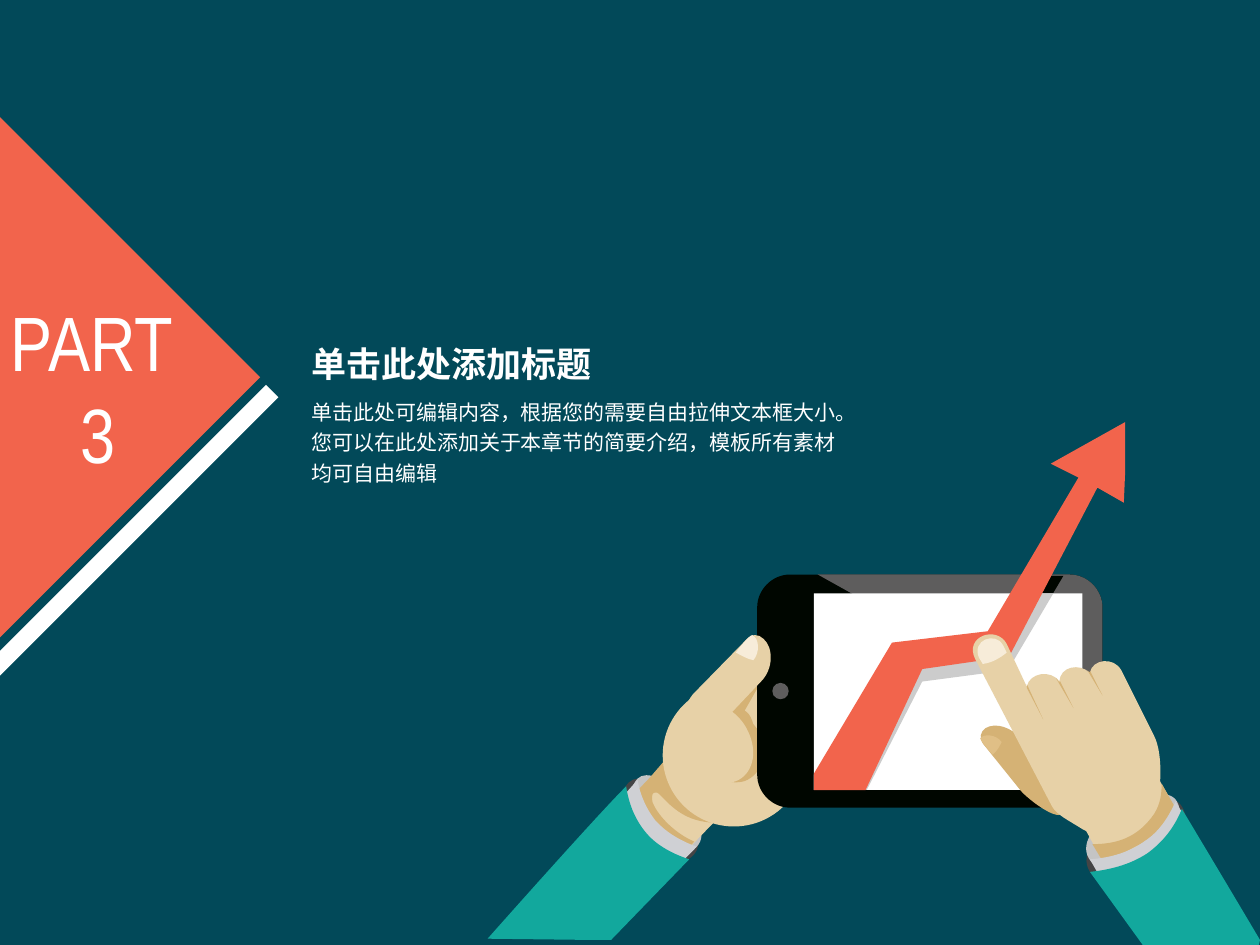
from collections import namedtuple

from lxml.etree import SubElement
from pptx import Presentation
from pptx.dml.color import RGBColor
from pptx.enum.shapes import MSO_CONNECTOR as Connector, MSO_SHAPE as Shape
from pptx.enum.text import MSO_ANCHOR as Anchor, MSO_AUTO_SIZE as AutoSize, PP_ALIGN as Align
from pptx.oxml.ns import qn
from pptx.util import Pt

Box = namedtuple("Box", "left top width height")

WHITE, CORAL, NAVY, TEAL = "FFFFFF", "F2644C", "024959", "12A89D"
SKIN, SHADE, KNUCKLE, NAIL = "E7D1A7", "D5B275", "E0BF86", "F7ECD9"
CUFF, CUFF_BACK, SLEEVE_BACK = "CFD0D4", "C4C4C4", "444445"
BLACK, GLARE, SHADOW = "000600", "5E5D5D", "CCCCCC"
CJK = "Noto Sans CJK SC"

ART_BOX = Box(278.64, 241.2, 441.36, 324.72)
ART_LEFT, ART_TOP, ART_WIDTH = 387, 335, 613
CURVE_STEPS = 20

LEFT_ARM = [
    (SLEEVE_BACK, "550,679 C570,659 515,605 499,621 C478,643 529,701 550,679"),
    (CUFF_BACK, "553,672 C571,653 521,603 506,618 C487,638 534,691 553,672"),
    (SKIN, "536,597 482,660 482,707 514,707 576,643"),
    (SHADE, "516,617 474,661 474,673 504,641 544,676 551,668 C537,662 523,649 518,637 "
            "C516,629 520,626 525,632 C537,645 548,652 566,653 570,649 528,603"),
    (CUFF, "506,619 472,657 472,716 510,716 553,672 C539,667 528,660 520,651 "
           "C513,642 508,631 506,619"),
    (TEAL, "497,624 C472,649 387,745 387,745 472,746 485,746 547,682 "
           "C532,677 520,670 512,660 C504,650 499,638 497,624"),
    (SKIN, "oval 526 543 113 113"),
    (SHADE, "605,509 C601,505 595,505 592,509 575,526 573,570 579,575 598,595 "
            "C601,574 595,566 591,564 603,543 C613,533 613,516 605,509"),
    (SHADE, "568,565 C554,569 548,585 554,600 C561,615 577,624 591,620 "
            "C604,615 610,599 604,584 C597,569 581,560 568,565"),
]
TABLET = [
    (BLACK, "875,615 875,482 C875,468 863,456 849,456 627,456 C613,456 601,468 601,482 "
            "601,615 C601,629 613,641 627,641 849,641 C863,641 875,629 875,615"),
    (GLARE, "875,582 649,456 849,456 C863,456 875,468 875,482"),
    (BLACK, "844,457 799,533 731,542 686,627 644,627 644,615 706,523 783,515 821,457"),
    (WHITE, "859,626 859,471 646,471 646,627 859,627"),
    (GLARE, "oval 613 542 13 13"),
]
LEFT_THUMB = [
    (SKIN, "606,507 C602,503 596,503 593,507 550,551 C544,558 540,572 546,578 "
           "C552,584 562,584 569,578 604,541 C614,531 614,514 606,507"),
    (SKIN, "557,560 C543,565 539,582 546,599 C553,616 570,625 584,620 "
           "C597,615 602,598 594,581 C587,565 570,555 557,560"),
    (NAIL, "584,518 C590,521 593,523 598,524 C603,518 603,507 597,504 C594,505 586,515 584,518"),
]
GROWTH_ARROW = [
    (SHADOW, "836,471 812,471 784,513 708,522 646,615 646,627 688,627 732,541 800,532"),
    (CORAL, "893,375 892,399 871,387 801,521 732,531 687,627 646,627 646,614 708,510 "
            "784,501 856,379 834,368 893,335"),
]
RIGHT_ARM = [
    (SLEEVE_BACK, "865,692 C847,663 924,617 938,640 C957,670 884,722 865,692"),
    (CUFF_BACK, "864,681 C849,655 922,615 934,636 C950,665 880,709 864,681"),
    (SKIN, "911,603 962,693 957,714 882,696 853,643"),
    (SHADE, "922,622 965,698 961,712 930,657 876,685 867,670 C886,670 903,665 916,646 "
            "C921,638 922,630 922,622"),
    (CUFF, "933,636 968,696 959,729 881,710 865,682 C882,681 897,676 908,668 "
           "C919,661 927,650 933,636"),
    (TEAL, "938,642 C971,697 1000,746 1000,746 C995,771 982,779 971,786 "
           "C959,792 933,786 933,786 865,692 C884,690 899,685 911,677 C923,668 932,657 938,642"),
]
RIGHT_HAND = [
    (SHADE, "782,578 C778,581 777,586 780,590 809,626 C813,632 837,651 843,646 "
            "C850,642 839,621 835,615 811,587 C803,577 790,573 782,578"),
    (KNUCKLE, "788,599 C792,595 793,593 795,589 C791,583 781,582 778,586 C779,589 786,597 788,599"),
    (SKIN, "799,511 815,545 C817,534 834,531 841,541 C841,529 857,526 865,534 "
           "C867,523 884,521 890,532 916,584 C924,600 921,632 917,643 "
           "C913,653 898,643 892,648 C881,656 875,667 859,658 C848,651 839,647 835,640 "
           "774,523 C765,505 791,496 799,511"),
    (NAIL, "796,512 799,518 C794,522 788,526 780,527 777,522 C771,508 790,501 796,512"),
    (SHADE, "875,552 865,532 865,534 863,532"),
    (SHADE, "815,546 815,543 828,571"),
    (SHADE, "838,538 841,542 841,540 852,562"),
]


def color(hex_string):
    return RGBColor.from_string(hex_string)


def paint(shape, fill):
    shape.shadow.inherit = False
    shape.fill.solid()
    shape.fill.fore_color.rgb = color(fill)
    shape.line.fill.background()


def bezier(start, first, second, end):
    for step in range(1, CURVE_STEPS + 1):
        t = step / CURVE_STEPS
        weights = ((1 - t) ** 3, 3 * t * (1 - t) ** 2, 3 * t * t * (1 - t), t ** 3)
        yield tuple(sum(weight * point[axis] for weight, point
                        in zip(weights, (start, first, second, end))) for axis in (0, 1))


def read_segments(outline, place):
    tokens = iter(outline.split())
    segments = []
    for token in tokens:
        corners = [token.lstrip("C")]
        if token.startswith("C"):
            corners += [next(tokens), next(tokens)]
        segments.append([place(*map(int, corner.split(","))) for corner in corners])
    return segments


def add_outline(group, segments):
    reached = [segments[0][-1]]
    for segment in segments[1:]:
        reached.extend(bezier(reached[-1], *segment) if len(segment) == 3 else segment)
    low, high = ([int(pick(axis)) for axis in zip(*reached)] for pick in (min, max))
    builder = group.build_freeform(*low, scale=1.0)
    builder.add_line_segments([high], close=True)
    shape = builder.convert_to_shape()
    route = shape._element.spPr.find(".//" + qn("a:path"))
    for child in list(route):
        route.remove(child)
    for index, segment in enumerate(segments):
        kind = "cubicBezTo" if len(segment) == 3 else "lnTo" if index else "moveTo"
        step = SubElement(route, qn("a:" + kind))
        for x, y in segment:
            SubElement(step, qn("a:pt"), x=str(x - low[0]), y=str(y - low[1]))
    SubElement(route, qn("a:close"))
    return shape


def draw_illustration(page, box):
    group = page.shapes.add_group_shape().shapes
    unit = box.width / ART_WIDTH

    def place(x, y):
        return Pt(box.left + (x - ART_LEFT) * unit), Pt(box.top + (y - ART_TOP) * unit)

    for fill, outline in LEFT_ARM + TABLET + LEFT_THUMB + GROWTH_ARROW + RIGHT_ARM + RIGHT_HAND:
        if outline.startswith("oval"):
            x, y, width, height = map(int, outline.split()[1:])
            shape = group.add_shape(Shape.OVAL, *place(x, y), Pt(width * unit), Pt(height * unit))
        else:
            shape = add_outline(group, read_segments(outline, place))
        paint(shape, fill)


def write(shape, box, lines, size, font, margins=(0, 0), bold=False, gap=0):
    shape.left, shape.top, shape.width, shape.height = map(Pt, box)
    frame = shape.text_frame
    frame.text = "\n".join(lines)
    frame.word_wrap = True
    frame.auto_size = AutoSize.SHAPE_TO_FIT_TEXT
    frame.vertical_anchor = Anchor.TOP
    frame.margin_left = frame.margin_right = Pt(margins[0])
    frame.margin_top = frame.margin_bottom = Pt(margins[1])
    for index, para in enumerate(frame.paragraphs):
        properties = para._p.get_or_add_pPr()
        properties.set("marL", "0")
        properties.set("indent", "0")
        para.space_before = Pt(gap if index else 0)
        para.alignment = Align.LEFT
        SubElement(properties, qn("a:buNone"))
        for span in para.runs:
            span.font.size, span.font.bold, span.font.name = Pt(size), bold, font
            span.font.color.rgb = color(WHITE)
            SubElement(span._r.get_or_add_rPr(), qn("a:ea")).set("typeface", CJK)
    return frame


def draw_part_marker(page, box):
    side = box.height / 2 ** 0.5
    triangle = page.shapes.add_shape(Shape.RIGHT_TRIANGLE, Pt(box.left - side / 2),
                                     Pt(box.top + (box.height - side) / 2), Pt(side), Pt(side))
    triangle.rotation = 225
    paint(triangle, CORAL)
    label = page.shapes.add_textbox(0, 0, 0, 0)
    label_box = Box(box.left - 1, box.top + 97.8, 113.76, 165.6)
    frame = write(label, label_box, ["PART", "3"], 44, "Arial Narrow", (7.2, 3.6))
    frame.paragraphs[1].alignment = Align.CENTER
    stripe = page.shapes.add_connector(
        Connector.STRAIGHT, Pt(box.left - 15.84), Pt(box.top + 327.9),
        Pt(box.left + 155.52), Pt(box.top + 156.54))
    stripe.line.color.rgb = color(WHITE)
    stripe.line.width = Pt(10)
    SubElement(stripe._element.spPr, qn("a:effectLst"))


def write_section(page, box):
    title, body = page.placeholders
    write(title, Box(box.left - 7.2, box.top, 180, 31.7), ["单击此处添加标题"], 20, CJK,
          (7.2, 3.6), bold=True)
    write(body, Box(box.left, box.top + 36, box.width, box.height - 36), [
        "单击此处可编辑内容，根据您的需要自由拉伸文本框大小。",
        "您可以在此处添加关于本章节的简要介绍，模板所有素材",
        "均可自由编辑",
    ], 12, "Arial", gap=3)


def main():
    deck = Presentation()
    deck.slide_width, deck.slide_height = Pt(720), Pt(540)
    page = deck.slides.add_slide(deck.slide_layouts[1])
    page.background.fill.solid()
    page.background.fill.fore_color.rgb = color(NAVY)
    draw_illustration(page, ART_BOX)
    draw_part_marker(page, Box(0, 66.9, 148.6, 297.3))
    write_section(page, Box(177.84, 192.3, 316.8, 85))
    deck.save("out.pptx")


if __name__ == "__main__":
    main()
